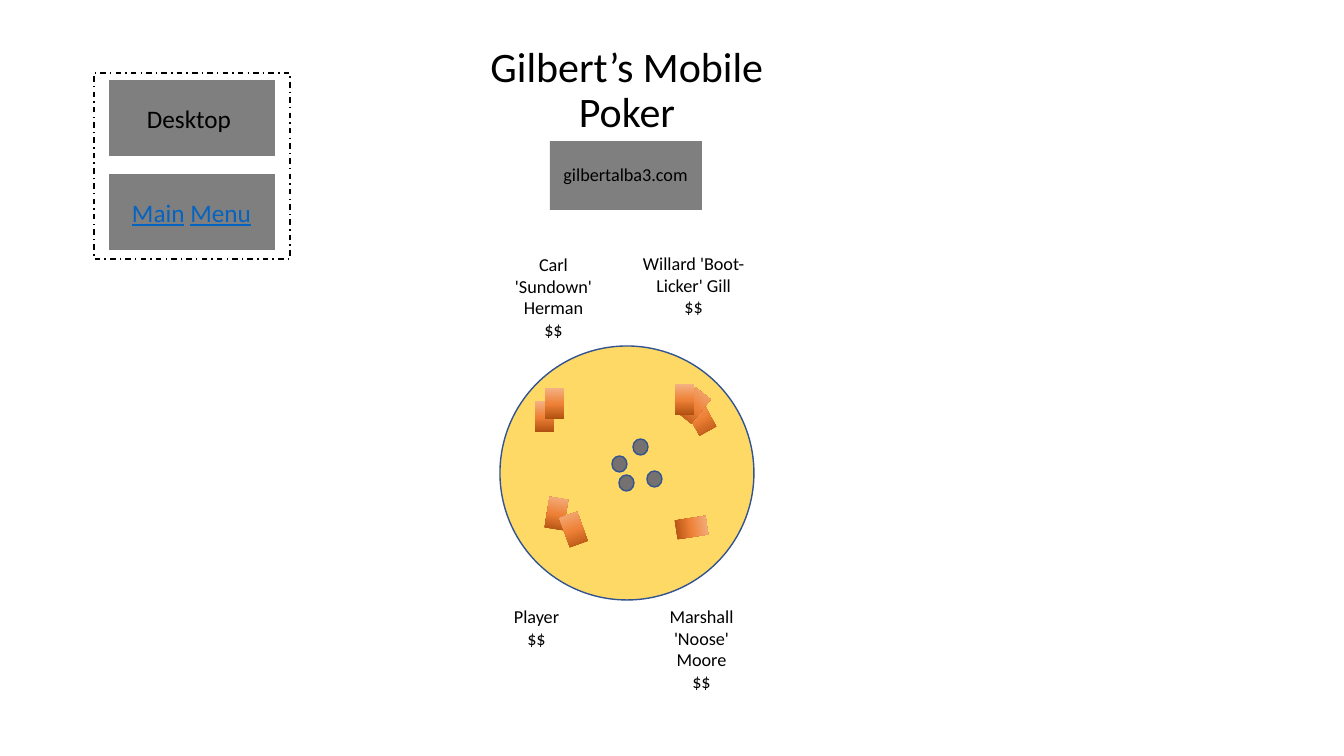
import pptx
import pptx.util
import pptx.dml.color
import pptx.enum.dml
import pptx.enum.shapes
import pptx.enum.text
import pptx.oxml
import pptx.oxml.ns

SCALE = 914400 / 100.8
FONT = "Calibri"
HEX = {
    "white": "FFFFFF", "black": "000000", "felt": "FFD966", "rim": "325491",
    "chip": "767171", "link": "0563C1",
    "dark": "B0500F", "mid": "EE8137", "light": "F4B183",
}
KIND = pptx.enum.shapes.MSO_SHAPE
ALIGN = pptx.enum.text.PP_ALIGN
FIT = pptx.enum.text.MSO_AUTO_SIZE
CARD = (19, 31)
CHIP = (15, 16)
TILE = (166, 76)

# left, top, turn in degrees
CARDS = [
    (535, 401, 0), (545, 388, 0), (547, 498, 9.2), (691, 402, 331.1),
    (684, 390, 39), (675, 384, 0), (682, 512, 81.2), (564, 514, 340),
]
CHIPS = [(612, 456), (633, 439), (619, 475), (647, 471)]
SEATS = [
    ("Carl 'Sundown' Herman", (500, 248, 107, 129)),
    ("Willard 'Boot-Licker' Gill", (633, 247, 121, 99)),
    ("Marshall 'Noose' Moore", (649, 600, 105, 129)),
    ("Player", (500, 600, 73, 54)),
]


def px(num):
    """Turn pixels into EMU."""
    return pptx.util.Emu(round(num * SCALE))


def rgb(name):
    """Look up a colour by name."""
    return pptx.dml.color.RGBColor.from_string(HEX[name])


def add_form(slide, kind, box, fill=None, line=None):
    """Add a preset shape with a plain fill and a thin line or none."""
    form = slide.shapes.add_shape(kind, *map(px, box))
    form.shadow.inherit = False
    if fill:
        form.fill.solid()
        form.fill.fore_color.rgb = rgb(fill)
    if line:
        form.line.color.rgb = rgb(line)
        form.line.width = pptx.util.Pt(1)
    else:
        form.line.fill.background()
    return form


def add_tile(slide, box):
    """Add a half clear black button."""
    tile = add_form(slide, KIND.RECTANGLE, box, "black")
    tint = tile.fill._xPr.find(".//" + pptx.oxml.ns.qn("a:srgbClr"))
    pptx.oxml.ns.qn("a:alpha")
    alpha = tint.makeelement(pptx.oxml.ns.qn("a:alpha"), {"val": "50000"})
    tint.append(alpha)


def add_card(slide, left, top, turn):
    """Add a playing card, dark at its foot and light at its head."""
    card = add_form(slide, KIND.RECTANGLE, (left, top, *CARD))
    card.rotation = turn
    stops = "".join(
        f'<a:gs pos="{pos}000"><a:srgbClr val="{HEX[name]}"/></a:gs>'
        for pos, name in ((0, "dark"), (48, "mid"), (100, "light")))
    grad = pptx.oxml.parse_xml(
        f'<a:gradFill {pptx.oxml.ns.nsdecls("a")} rotWithShape="1">'
        f'<a:gsLst>{stops}</a:gsLst><a:lin ang="16200000" scaled="0"/>'
        '</a:gradFill>')
    geom = card._element.spPr.find(pptx.oxml.ns.qn("a:prstGeom"))
    geom.addnext(grad)


def add_run(para, text, size, tint="black", under=None):
    """Add one run of text."""
    run = para.add_run()
    run.text = text
    run.font.name = FONT
    run.font.size = pptx.util.Pt(size)
    run.font.color.rgb = rgb(tint)
    run.font.underline = under


def add_text(slide, box, lines, size):
    """Add a centred text box; each line is a list of runs."""
    frame = slide.shapes.add_textbox(*map(px, box)).text_frame
    frame.word_wrap = True
    frame.auto_size = FIT.SHAPE_TO_FIT_TEXT
    for row, runs in enumerate(lines):
        para = frame.add_paragraph() if row else frame.paragraphs[0]
        para.alignment = ALIGN.CENTER
        for run in runs:
            add_run(para, run[0], size, *run[1:])


def set_title(slide, text, box):
    """Place and fill the title."""
    title = slide.shapes.title
    title.left, title.top, title.width, title.height = map(px, box)
    frame = title.text_frame
    frame.word_wrap = True
    frame.auto_size = FIT.NONE
    frame.vertical_anchor = pptx.enum.text.MSO_ANCHOR.MIDDLE
    para = frame.paragraphs[0]
    para.alignment = ALIGN.CENTER
    para.line_spacing = 0.9
    add_run(para, text, 30)


def main():
    """Build the poker slide."""
    deck = pptx.Presentation()
    deck.slide_width, deck.slide_height = px(1344), px(756)
    slide = deck.slides.add_slide(deck.slide_layouts[5])

    frame = add_form(slide, KIND.RECTANGLE, (94, 73, 196, 186), "white", "black")
    frame.line.dash_style = pptx.enum.dml.MSO_LINE.DASH_DOT
    set_title(slide, "Gilbert’s Mobile Poker", (449, 27, 356, 129))

    add_form(slide, KIND.OVAL, (500, 346, 254, 254), "felt", "rim")
    for name, box in SEATS:
        add_text(slide, box, [[(name,)], [("$$",)]], 13)
    for card in CARDS:
        add_card(slide, *card)

    add_text(slide, (134, 98, 110, 40), [[("Desktop",)]], 18)
    add_tile(slide, (109, 80, *TILE))
    add_text(slide, (548, 158, 155, 32), [[("gilbertalba3.com",)]], 13)
    add_tile(slide, (550, 141, 152, 69))
    for spot in CHIPS:
        add_form(slide, KIND.OVAL, (*spot, *CHIP), "chip", "rim")

    add_tile(slide, (109, 174, *TILE))
    menu = [("Main", "link", True), (" ",), ("Menu", "link", True)]
    add_text(slide, (118, 192, 147, 40), [menu], 18)
    deck.save("out.pptx")


if __name__ == "__main__":
    main()
